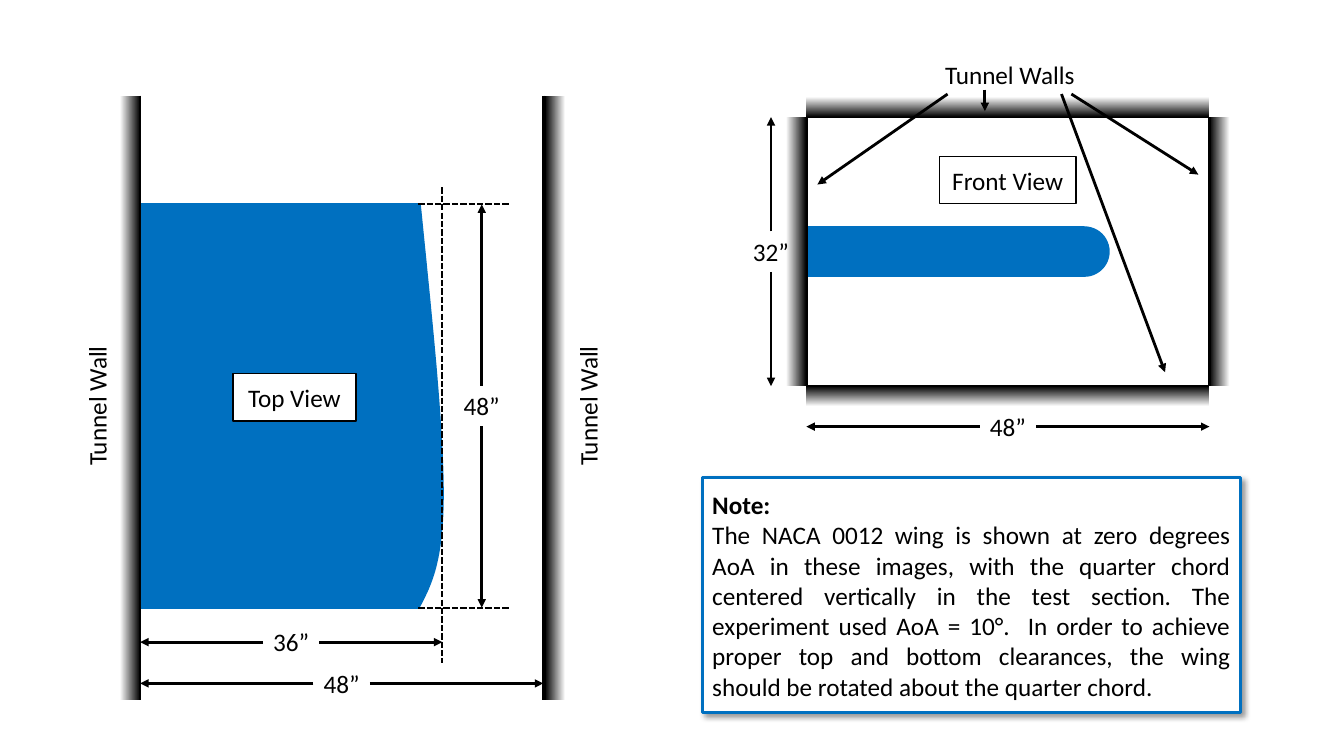
from dataclasses import dataclass
from typing import Any

from lxml.etree import SubElement
from pptx import Presentation
from pptx.dml.color import RGBColor as Rgb
from pptx.enum.dml import MSO_LINE as Dash
from pptx.enum.shapes import MSO_CONNECTOR as Link, MSO_SHAPE as Kind
from pptx.enum.text import MSO_ANCHOR as Anchor, MSO_AUTO_SIZE as Fit, PP_ALIGN as Align
from pptx.oxml.ns import qn
from pptx.util import Cm, Pt


@dataclass(frozen=True)
class Theme:
    font: str = "Calibri"
    size: Pt = Pt(18)
    ink: Rgb = Rgb(0, 0, 0)
    paper: Rgb = Rgb(255, 255, 255)
    wing: Rgb = Rgb(0, 0x70, 0xC0)
    thin: Pt = Pt(1)
    dash: Pt = Pt(1.5)
    bold: Pt = Pt(2)


THEME = Theme()
DEPTH = 0.51  # thickness of a shaded wall, cm
SPAN = 7.01  # straight part of the wing, cm
REACH = 7.62  # wing root to the furthest point of the tip, cm


@dataclass
class Box:
    """A region of the slide, in cm; parts are placed from its top left corner."""
    shapes: Any
    x: float
    y: float
    w: float
    h: float

    def at(self, x, y):
        return Cm(self.x + x), Cm(self.y + y)


def paint(shape, fill, edge, width):
    shape.shadow.inherit = False
    shape.fill.solid()
    shape.fill.fore_color.rgb = fill
    shape.line.color.rgb = edge
    shape.line.width = width


def block(box, kind, x, y, w, h, fill=THEME.wing, edge=THEME.wing, width=THEME.bold):
    shape = box.shapes.add_shape(kind, *box.at(x, y), Cm(w), Cm(h))
    paint(shape, fill, edge, width)
    return shape


def write(frame, lines, align):
    frame.text = "\n".join(lines)
    for par in frame.paragraphs:
        par.alignment = align
        par.font.name = THEME.font
        par.font.size = THEME.size
        par.font.color.rgb = THEME.ink


def label(box, text, x, y, w=1.42, turn=0):
    """Put unframed text around a centre point."""
    h = 1.02
    shape = box.shapes.add_textbox(*box.at(x - w / 2, y - h / 2), Cm(w), Cm(h))
    shape.rotation = turn
    shape.text_frame.word_wrap = False
    shape.text_frame.auto_size = Fit.SHAPE_TO_FIT_TEXT
    write(shape.text_frame, [text], Align.CENTER)


def tag(box, text, x, y, w):
    shape = block(box, Kind.RECTANGLE, x, y, w, 1.19, THEME.paper, THEME.ink, THEME.thin)
    shape.text_frame.vertical_anchor = Anchor.MIDDLE
    write(shape.text_frame, [text], Align.CENTER)


def rule(box, start, end, head=False, dashed=False):
    link = box.shapes.add_connector(Link.STRAIGHT, *box.at(*start), *box.at(*end))
    link.line.color.rgb = THEME.ink
    link.line.width = THEME.dash if dashed else THEME.bold
    if dashed:
        link.line.dash_style = Dash.SQUARE_DOT
    props = link._element.spPr
    if head:
        SubElement(props.find(qn("a:ln")), qn("a:tailEnd"), type="triangle")
    SubElement(props, qn("a:effectLst"))


def shade(box, x, y, length, turn=0):
    """Fade a wall from white to black around a centre point."""
    shape = box.shapes.add_shape(Kind.RECTANGLE, *box.at(x - DEPTH / 2, y - length / 2),
                                 Cm(DEPTH), Cm(length))
    shape.shadow.inherit = False
    shape.line.fill.background()
    shape.fill.gradient()
    shape.fill.gradient_angle = 0
    for stop, color in zip(shape.fill.gradient_stops, (THEME.paper, THEME.ink)):
        stop.color.rgb = color
    shape.rotation = turn


def measure(box, text, start, end, place, upright=False):
    """Draw a dimension: two arrows that leave the middle for the label."""
    def spot(along):
        return (place, along) if upright else (along, place)

    mid, gap = (start + end) / 2, 0.51 if upright else 0.71
    label(box, text, *spot(mid))
    rule(box, spot(mid - gap), spot(start), head=True)
    rule(box, spot(mid + gap), spot(end), head=True)


def curve(a, b, c, d, steps=24):
    """Sample a cubic Bezier curve, without its first point."""
    for i in range(1, steps + 1):
        t = i / steps
        u = 1 - t
        yield tuple(u**3 * p + 3 * u * u * t * q + 3 * u * t * t * r + t**3 * s
                    for p, q, r, s in zip(a, b, c, d))


def plan(box, top, chord):
    """Draw the wing as seen from above."""
    block(box, Kind.RECTANGLE, 0, top, SPAN, chord)
    tail, wide, nose = (SPAN, top + chord), (REACH, top + 7.29), (SPAN + 0.03, top)
    pts = [*curve(tail, (7.32, top + 9.58), (REACH, top + 8.97), wide),
           *curve(wide, (REACH, top + 5.59), (7.32, top + 2.79), nose)]
    path = box.shapes.build_freeform(*box.at(*tail))
    path.add_line_segments([box.at(*pt) for pt in pts], close=False)
    paint(path.convert_to_shape(), THEME.wing, THEME.wing, THEME.bold)


def top_view(box):
    top, chord = 2.74, 10.16
    base = top + chord
    plan(box, top, chord)
    for wall, mid, turn, name in ((0, -0.25, 0, -1.09), (box.w, box.w + 0.3, 180, 11.28)):
        shade(box, mid, box.h / 2, box.h, turn)
        rule(box, (wall, 0), (wall, box.h))
        label(box, "Tunnel Wall", name, 7.82, 3.56, 270)
    tag(box, "Top View", 2.34, 7.01, 3.1)
    rule(box, (REACH, 2.31), (REACH, 14.3), dashed=True)
    for y in (top, base):
        rule(box, (SPAN, y), (9.32, y), dashed=True)
    measure(box, "48”", top, base, 8.61, upright=True)
    measure(box, "36”", 0, REACH, 13.77)
    measure(box, "48”", 0, box.w, 14.81)


def front_view(box):
    w, h, thick = box.w, box.h, 1.22
    wing = (h - thick) / 2
    block(box, Kind.RECTANGLE, 0, wing, SPAN, thick, width=THEME.dash)
    block(box, Kind.OVAL, SPAN - thick / 2, wing, thick, thick, width=THEME.dash)
    for x, turn in ((0, 0), (w, 180)):
        rule(box, (x, 0), (x, h))
        shade(box, x + (DEPTH / 2 if x else -DEPTH / 2), h / 2, h, turn)
    for y, turn in ((0, 90), (h, 270)):
        rule(box, (0, y), (w, y))
        shade(box, w / 2, y + (DEPTH / 2 if y else -DEPTH / 2), w, turn)
    measure(box, "48”", 0, w, 7.8)
    measure(box, "32”", 0, h, -0.89, upright=True)
    tag(box, "Front View", 3.35, 0.99, 3.45)
    label(box, "Tunnel Walls", 5.13, -1.07, 3.81)
    for start, end in (((6.68, -0.58), (9.88, 1.45)), ((6.43, -0.58), (9.04, 6.43)),
                       ((3.56, -0.58), (0.28, 1.7)), ((4.5, -0.69), (4.5, -0.15))):
        rule(box, start, end, head=True)


def note(box):
    shape = block(box, Kind.RECTANGLE, 0, 0, box.w, box.h, THEME.paper)
    cast = SubElement(shape._element.spPr.find(qn("a:effectLst")), qn("a:outerShdw"),
                      blurRad=str(Pt(4)), dist=str(Pt(3)), dir="2700000",
                      algn="tl", rotWithShape="0")
    tint = SubElement(cast, qn("a:srgbClr"), val=str(THEME.ink))
    SubElement(tint, qn("a:alpha"), val="40000")
    frame = shape.text_frame
    frame.word_wrap = True
    frame.vertical_anchor = Anchor.MIDDLE
    write(frame, [
        "Note:",
        "The NACA 0012 wing is shown at zero degrees AoA in these images, with the "
        "quarter chord centered vertically in the test section. The experiment used "
        "AoA = 10°.  In order to achieve proper top and bottom clearances, the wing "
        "should be rotated about the quarter chord."], Align.JUSTIFY)
    frame.paragraphs[0].font.bold = True


def main():
    deck = Presentation()
    deck.slide_width, deck.slide_height = Cm(33.87), Cm(19.05)
    shapes = deck.slides.add_slide(deck.slide_layouts[6]).shapes
    top_view(Box(shapes, 3.53, 2.41, 10.16, 15.24))
    front_view(Box(shapes, 20.32, 2.95, 10.16, 6.78))
    note(Box(shapes, 17.7, 12.04, 13.56, 5.92))
    deck.save("out.pptx")


if __name__ == "__main__":
    main()
